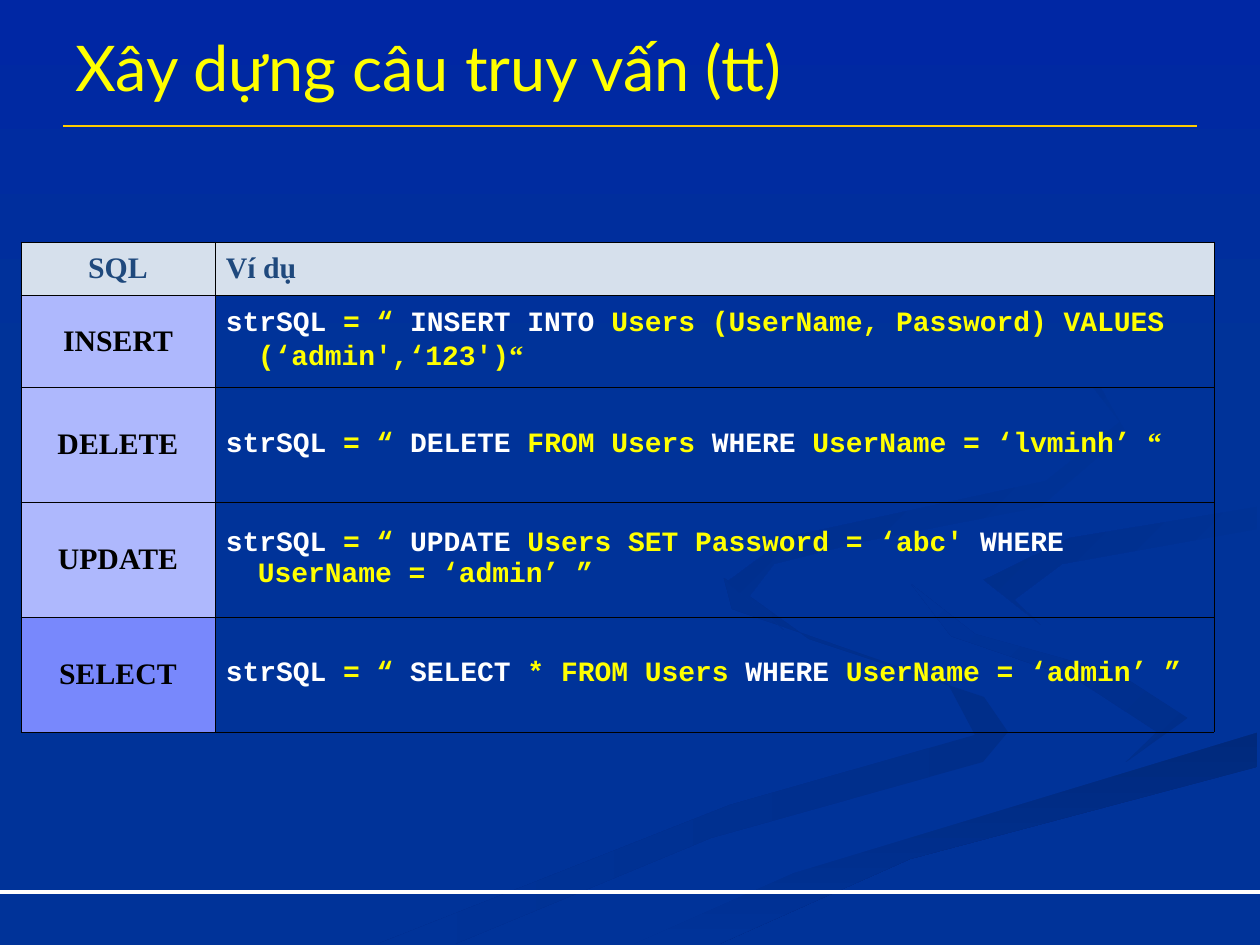
from collections import namedtuple
from dataclasses import dataclass

from lxml import etree
from pptx import Presentation
from pptx.dml.color import RGBColor
from pptx.enum.shapes import MSO_CONNECTOR, MSO_SHAPE
from pptx.enum.text import MSO_ANCHOR, PP_ALIGN
from pptx.oxml.ns import qn
from pptx.util import Pt

STRAIGHT = MSO_CONNECTOR.STRAIGHT
RECTANGLE = MSO_SHAPE.RECTANGLE
BOTTOM, MIDDLE = MSO_ANCHOR.BOTTOM, MSO_ANCHOR.MIDDLE
LEFT, CENTER = PP_ALIGN.LEFT, PP_ALIGN.CENTER
EMU_PER_PX = 914400 / 126

Box = namedtuple("Box", "left top width height")
Ribbon = namedtuple("Ribbon", "start end angle points")


@dataclass(frozen=True)
class Theme:
    """Colours, fonts and type sizes of the slide."""
    background: str = "003399"
    sky: str = "0027A4"
    shade: str = "002E8A"
    deep_shade: str = "00297C"
    gold: str = "FFCC00"
    white: str = "FFFFFF"
    yellow: str = "FFFF00"
    black: str = "000000"
    header_text: str = "1F497D"
    header_fill: str = "D6E0EC"
    command_fill: str = "AEB8FD"
    select_fill: str = "7888FC"
    title_font: str = "Lato"
    label_font: str = "Times New Roman"
    code_font: str = "Courier New"
    title_size: int = 36
    label_size: int = 17
    code_size: int = 16


THEME = Theme()

RIBBONS = [
    Ribbon(THEME.shade, THEME.background, 180, [
        (984, 697), (809, 639), (724, 578), (732, 609), (948, 684), (975, 735),
        (730, 805), (378, 944), (455, 944), (711, 838), (983, 762), (1008, 732)]),
    Ribbon(THEME.shade, THEME.background, 225, [
        (1188, 718), (1119, 674), (975, 634), (912, 585), (951, 636), (1076, 679),
        (1157, 732), (1126, 762)]),
    Ribbon(THEME.deep_shade, THEME.background, 90, [
        (634, 944), (719, 944), (910, 859), (1257, 767), (1257, 732), (963, 815), (794, 873)]),
    Ribbon(THEME.background, THEME.background, 0, [
        (914, 585), (976, 634), (1120, 674), (1188, 718), (1137, 760), (835, 842),
        (601, 944), (634, 944), (794, 873), (1259, 732), (1259, 678), (1068, 634),
        (984, 583), (1071, 538), (1259, 507), (1259, 488), (970, 538)]),
    Ribbon(THEME.background, THEME.shade, 225, [
        (984, 580), (1041, 625), (1014, 600), (1062, 564), (1257, 529), (1257, 507),
        (1070, 538)]),
    Ribbon(THEME.background, THEME.shade, 225, [
        (861, 542), (1040, 507), (1126, 433), (1089, 367), (1066, 352), (1120, 422),
        (1046, 481), (788, 537), (727, 582), (784, 630), (748, 598), (774, 564)]),
]

COMMANDS = [
    ("INSERT", ["INSERT INTO", " Users (UserName, Password) VALUES (‘admin',‘123')"], "“"),
    ("DELETE", ["DELETE", " FROM Users ", "WHERE", " UserName = ‘lvminh’ "], "“"),
    ("UPDATE", ["UPDATE", " Users SET Password = ‘abc' ", "WHERE", " UserName = ‘admin’ ”"], ""),
    ("SELECT", ["SELECT", " * FROM Users ", "WHERE", " UserName = ‘admin’ ”"], ""),
]


def px(length):
    """Turn a length in px into EMU."""
    return round(length * EMU_PER_PX)


def rgb(color):
    """Turn a hex string into a colour."""
    return RGBColor.from_string(color)


def style_span(span, font, size, color, bold=False):
    """Set the font, size, colour and weight of one run."""
    span.font.name, span.font.size, span.font.bold = font, Pt(size), bold
    span.font.color.rgb = rgb(color)


def add_rule(page, left, right, y, color, width):
    """Draw a horizontal rule without a shadow."""
    rule = page.shapes.add_connector(STRAIGHT, px(left), px(y), px(right), px(y))
    rule.line.color.rgb = rgb(color)
    rule.line.width = Pt(width)
    etree.SubElement(rule.element.spPr, qn("a:effectLst"))


def shade(shape, start, end, angle):
    """Give a shape a two-colour gradient with no line or shadow."""
    shape.shadow.inherit = False
    shape.line.fill.background()
    shape.fill.gradient()
    shape.fill.gradient_angle = -angle % 360
    for stop, color in zip(shape.fill.gradient_stops, (start, end)):
        stop.color.rgb = rgb(color)
    for position, stop in enumerate(shape.fill.gradient_stops):
        stop.position = position


def add_backdrop(page, box):
    """Fill the page and lay the ribbons, the sky and the footer rule on it."""
    page.background.fill.solid()
    page.background.fill.fore_color.rgb = rgb(THEME.background)
    for ribbon in RIBBONS:
        builder = page.shapes.build_freeform(*ribbon.points[0], scale=EMU_PER_PX)
        builder.add_line_segments(ribbon.points[1:], close=True)
        shape = builder.convert_to_shape(px(box.left), px(box.top))
        shade(shape, ribbon.start, ribbon.end, ribbon.angle)
    sky = page.shapes.add_shape(RECTANGLE, *map(px, box._replace(height=388)))
    shade(sky, THEME.sky, THEME.background, 90)
    add_rule(page, box.left, box.left + box.width, box.top + 892, THEME.white, 2.25)


def add_title(page, box, text):
    """Place the title above its gold rule."""
    add_rule(page, box.left, box.left + box.width, box.top + box.height + 16, THEME.gold, 1.5)
    frame = page.shapes.add_textbox(*map(px, box)).text_frame
    frame.word_wrap = True
    frame.vertical_anchor = BOTTOM
    frame.text = text
    style_span(frame.paragraphs[0].runs[0], THEME.title_font, THEME.title_size, THEME.yellow)


def format_cell(cell, fill=None, align=LEFT):
    """Give a cell its borders, fill and margins and return its hanging paragraph."""
    properties = cell._tc.get_or_add_tcPr()
    for side in ("a:lnL", "a:lnR", "a:lnT", "a:lnB"):
        border = etree.SubElement(properties, qn(side), w=str(Pt(0.45)))
        solid = etree.SubElement(border, qn("a:solidFill"))
        etree.SubElement(solid, qn("a:srgbClr"), val=THEME.black)
    if fill:
        cell.fill.solid()
        cell.fill.fore_color.rgb = rgb(fill)
    else:
        cell.fill.background()
    cell.vertical_anchor = MIDDLE
    cell.margin_left = cell.margin_right = px(11)
    cell.margin_top = cell.margin_bottom = px(6)
    para = cell.text_frame.paragraphs[0]
    para.alignment = align
    indent = para._p.get_or_add_pPr()
    indent.set("marL", str(px(32)))
    indent.set("indent", str(-px(32)))
    return para


def fill_label(cell, text, color, fill, align=CENTER):
    """Write a bold label in a filled cell."""
    para = format_cell(cell, fill, align)
    para.text = text
    style_span(para.runs[0], THEME.label_font, THEME.label_size, color, True)


def fill_code(cell, pieces, closing, space_before):
    """Write a statement whose pieces alternate between white and yellow."""
    para = format_cell(cell)
    para.space_before = Pt(space_before)
    for index, piece in enumerate(["strSQL", " = “ "] + pieces):
        span = para.add_run()
        span.text = piece
        style_span(span, THEME.code_font, THEME.code_size,
                   THEME.yellow if index % 2 else THEME.white, True)
    if closing:
        span = para.add_run()
        span.text = closing
        style_span(span, THEME.label_font, THEME.code_size, THEME.yellow, True)


def add_query_table(page, box):
    """Build the table of SQL commands and their examples."""
    heights = [53, 92, 115, 115, 115]
    table = page.shapes.add_table(len(heights), 2, *map(px, box)).table
    table.first_row = table.horz_banding = False
    for column, width in zip(table.columns, (194, box.width - 194)):
        column.width = px(width)
    for row, height in zip(table.rows, heights):
        row.height = px(height)
    fill_label(table.cell(0, 0), "SQL", THEME.header_text, THEME.header_fill)
    fill_label(table.cell(0, 1), "Ví dụ", THEME.header_text, THEME.header_fill, LEFT)
    for number, (command, pieces, closing) in enumerate(COMMANDS, 1):
        fill = THEME.select_fill if command == "SELECT" else THEME.command_fill
        fill_label(table.cell(number, 0), command, THEME.black, fill)
        fill_code(table.cell(number, 1), pieces, closing, 0 if number == 1 else 4)


def main():
    """Build the deck and save it."""
    deck = Presentation()
    deck.slide_width, deck.slide_height = px(1260), px(945)
    page = deck.slides.add_slide(deck.slide_layouts[6])
    add_backdrop(page, Box(0, 0, 1260, 945))
    add_title(page, Box(63, 0, 1134, 110), "Xây dựng câu truy vấn (tt)")
    add_query_table(page, Box(21, 242, 1193, 490))
    deck.save("out.pptx")


if __name__ == "__main__":
    main()
